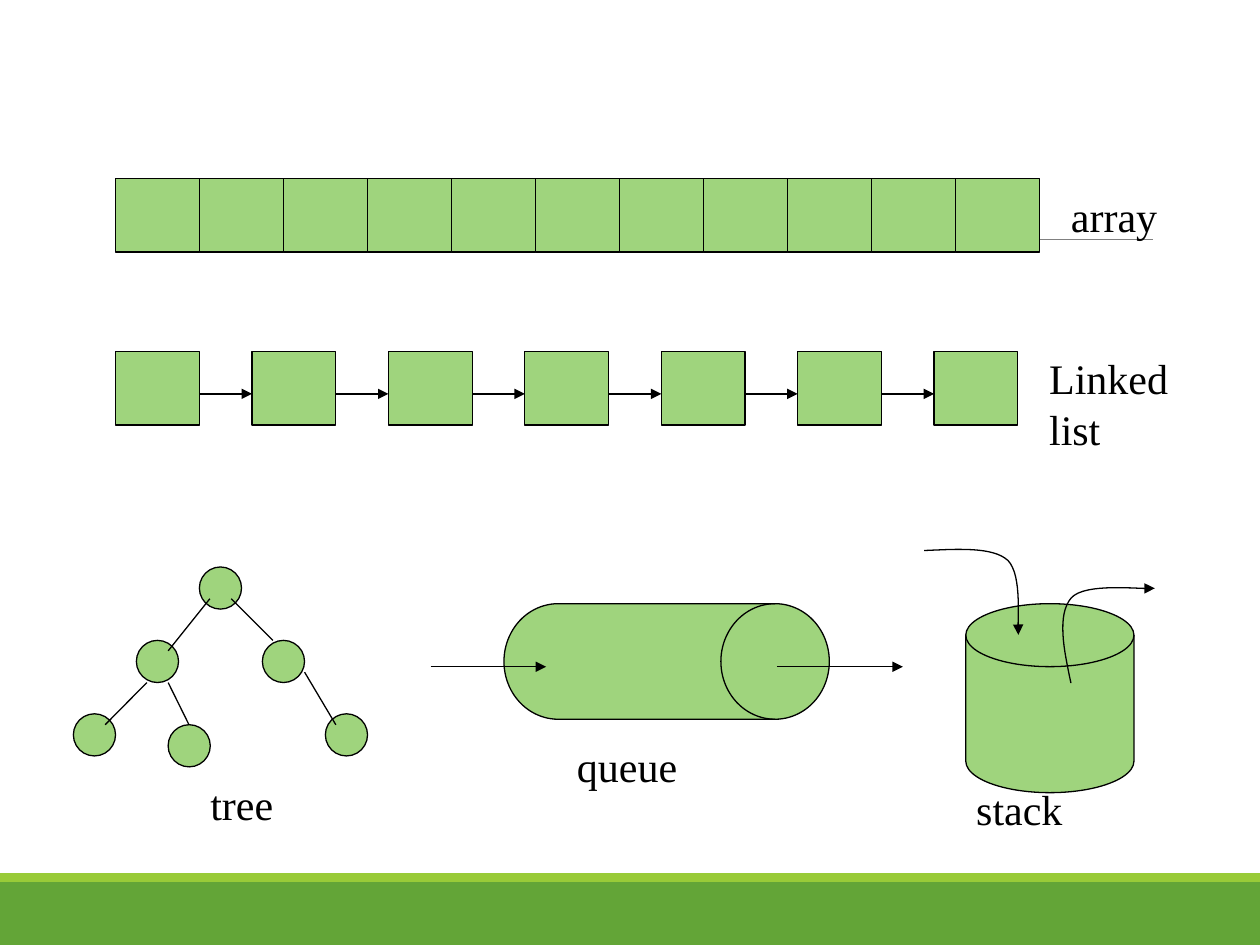
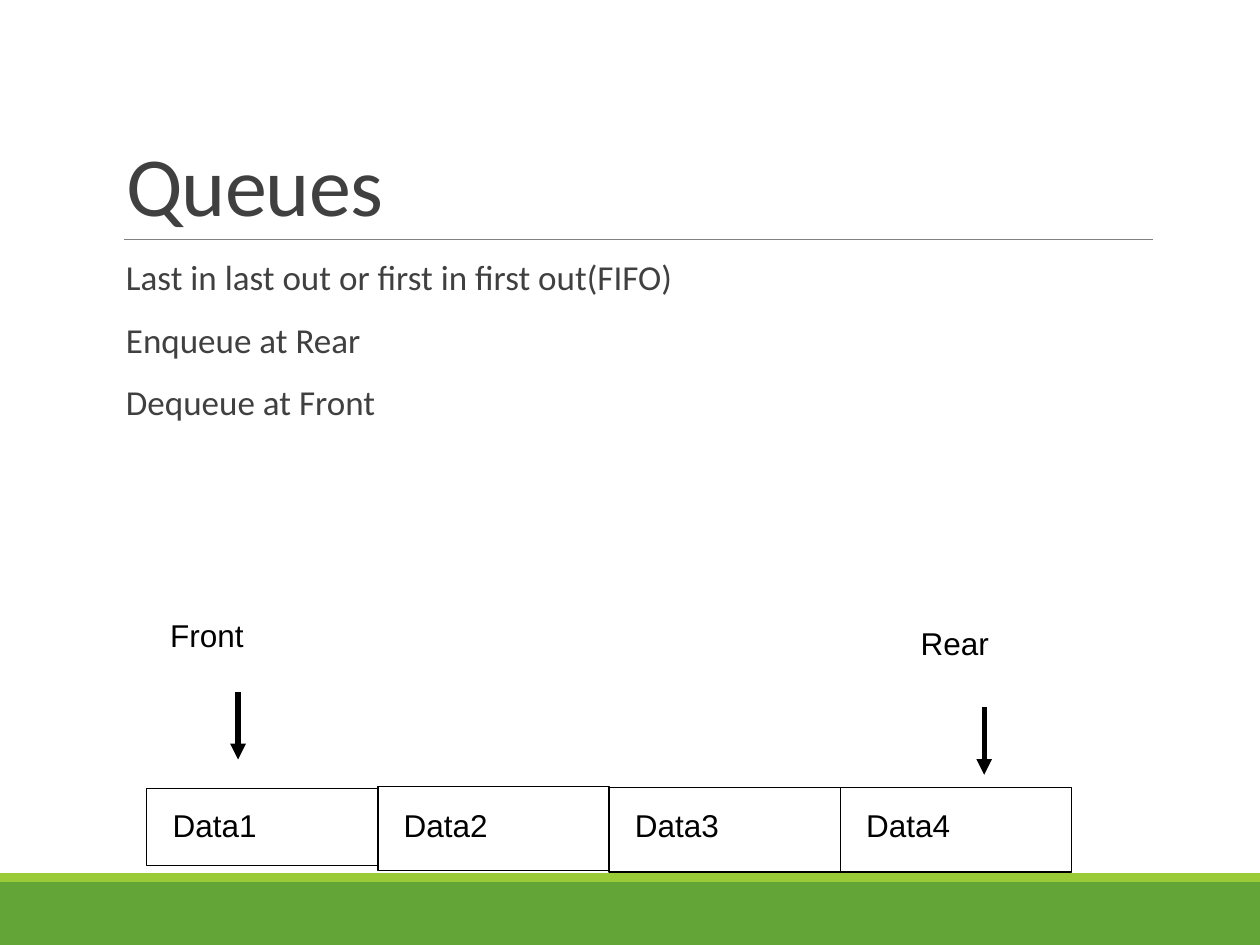
from lxml import etree
from pptx import Presentation
from pptx import util as u
from pptx.dml.color import RGBColor
from pptx.enum import shapes, text
from pptx.oxml import ns

GREEN = RGBColor(0x63, 0xA5, 0x37)
LIME = RGBColor(0x99, 0xCB, 0x38)
LEAF = RGBColor(0x9F, 0xD4, 0x7D)
BLACK = RGBColor(0, 0, 0)
GRAY = RGBColor(0x80, 0x80, 0x80)
DARK = RGBColor(0x40, 0x40, 0x40)

SERIF = {"name": "Times New Roman", "size": u.Pt(24)}
SANS = {"name": "Arial", "size": u.Pt(18)}
HEAD = {"name": "Calibri", "size": u.Pt(48)}
BODY = {"name": "Calibri", "size": u.Pt(20)}
KIND = shapes.MSO_SHAPE


def cms(*vals):
    return [u.Cm(v) for v in vals]


def put(obj, form):
    """Set each format value on the object."""
    for key, val in form.items():
        setattr(obj, key, val)


def style(run, form, color):
    put(run.font, form)
    run.font.color.rgb = color


def block(slide, kind, box, fill=LEAF, line=BLACK):
    """Preset shape; None leaves out the fill or the outline."""
    item = slide.shapes.add_shape(kind, *cms(*box))
    item.shadow.inherit = False
    if fill is None:
        item.fill.background()
    else:
        item.fill.solid()
        item.fill.fore_color.rgb = fill
    if line is None:
        item.line.fill.background()
    else:
        item.line.color.rgb = line
        item.line.width = u.Pt(0.75)
    return item


def tip(item):
    """Arrowhead at the end of a line."""
    etree.SubElement(item.line._get_or_add_ln(), ns.qn("a:tailEnd"), type="triangle")


def link(slide, ends, color=BLACK, width=0.75, head=False):
    """Straight line, with an arrowhead if wanted."""
    item = slide.shapes.add_connector(shapes.MSO_CONNECTOR.STRAIGHT, *cms(*ends))
    item.line.color.rgb = color
    item.line.width = u.Pt(width)
    if head:
        tip(item)
    etree.SubElement(item._element.spPr, ns.qn("a:effectLst"))


def bend(slide, pts, steps=16):
    """Curved arrow through a chain of cubic pieces."""
    path = []
    for i in range(0, len(pts) - 1, 3):
        for n in range(1, steps + 1):
            t = n / steps
            part = ((1 - t) ** 3, 3 * t * (1 - t) ** 2, 3 * t * t * (1 - t), t ** 3)
            path.append([u.Cm(sum(w * p[k] for w, p in zip(part, pts[i:i + 4])))
                         for k in (0, 1)])
    pen = slide.shapes.build_freeform(*cms(*pts[0]))
    pen.add_line_segments(path, close=False)
    item = pen.convert_to_shape()
    item.shadow.inherit = False
    item.fill.background()
    item.line.color.rgb = BLACK
    item.line.width = u.Pt(0.75)
    tip(item)


def label(slide, words, box, form):
    """One line of text that does not wrap."""
    frame = slide.shapes.add_textbox(*cms(*box)).text_frame
    put(frame, {"word_wrap": False, "auto_size": text.MSO_AUTO_SIZE.SHAPE_TO_FIT_TEXT})
    run = frame.paragraphs[0].add_run()
    run.text = words
    style(run, form, BLACK)


def base(deck, layout):
    """New slide with the shared bands and title rule."""
    slide = deck.slides.add_slide(deck.slide_layouts[layout])
    block(slide, KIND.RECTANGLE, (0, 17.78, 25.4, 1.27), GREEN, None)
    block(slide, KIND.RECTANGLE, (0, 17.6, 25.4, 0.18), LIME, None)
    link(slide, (2.49, 4.83, 23.24, 4.83), GRAY, 0.5)
    return slide


def title(slide, words):
    item = slide.shapes.title
    put(item, dict(zip(("left", "top", "width", "height"), cms(2.29, 0.79, 20.95, 4.04))))
    frame = item.text_frame
    put(frame, {"vertical_anchor": text.MSO_ANCHOR.BOTTOM, "word_wrap": True,
                "auto_size": text.MSO_AUTO_SIZE.NONE})
    para = frame.paragraphs[0]
    put(para, {"alignment": text.PP_ALIGN.LEFT, "line_spacing": 0.85})
    run = para.add_run()
    run.text = words
    style(run, HEAD, DARK)
    run.font._element.set("spc", "-50")


def body(slide, lines):
    frame = slide.shapes.add_textbox(*cms(2.29, 5.13, 20.95, 11.18)).text_frame
    put(frame, {"word_wrap": True, "margin_left": u.Cm(0.25), "margin_right": 0})
    for i, words in enumerate(lines):
        para = frame.add_paragraph() if i else frame.paragraphs[0]
        put(para, {"line_spacing": 0.9, "space_before": u.Pt(12), "space_after": u.Pt(2)})
        run = para.add_run()
        run.text = words
        style(run, BODY, DARK)


def tree(slide):
    size = 0.85
    for x, y in ((4.02, 11.43), (2.75, 12.91), (1.48, 14.39),
                 (5.29, 12.91), (6.56, 14.39), (3.39, 14.61)):
        block(slide, KIND.OVAL, (x, y, size, size))
    for ends in ((4.23, 12.07, 3.39, 13.12), (2.96, 13.76, 2.12, 14.61),
                 (4.66, 12.07, 5.5, 12.91), (6.14, 13.55, 6.77, 14.61),
                 (3.39, 13.76, 3.81, 14.61)):
        link(slide, ends)


def types(deck):
    """Overview of the data structures."""
    slide = base(deck, 6)
    left, wide, high = 2.33, 1.69, 1.48
    # Array
    for i in range(11):
        block(slide, KIND.RECTANGLE, (left + i * 1.693, 3.6, wide, high))
    # Linked list
    count, pitch = 7, 2.75
    for i in range(count):
        x = left + i * pitch
        block(slide, KIND.RECTANGLE, (x, 7.09, wide, high))
        if i < count - 1:
            link(slide, (x + wide, 7.94, x + pitch, 7.94), head=True)
    tree(slide)
    # Queue
    block(slide, KIND.FLOWCHART_DIRECT_ACCESS_STORAGE, (10.16, 12.17, 6.56, 2.33))
    for x, end in ((8.68, 11.01), (15.66, 18.2)):
        link(slide, (x, 13.44, end, 13.44), head=True)
    # Stack
    block(slide, KIND.FLOWCHART_MAGNETIC_DISK, (19.47, 12.17, 3.39, 3.81))
    bend(slide, [(18.63, 11.1), (19.3, 11.07), (20.02, 11.02), (20.32, 11.3),
                 (20.62, 11.61), (20.5, 12.55), (20.53, 12.8)])
    bend(slide, [(21.59, 13.77), (21.44, 13.08), (21.31, 12.4), (21.59, 12.06),
                 (21.87, 11.73), (23.01, 11.89), (23.28, 11.86)])
    # Names
    for words, x, y, w in (("array", 21.34, 3.71, 2.26), ("Linked list", 20.9, 6.99, 4.14),
                           ("tree", 3.99, 15.57, 1.78), ("queue", 11.38, 14.81, 2.54),
                           ("stack", 19.43, 15.67, 2.26)):
        label(slide, words, (x, y, w, 1.27), SERIF)


def queues(deck):
    """Queue rules and a row of data cells."""
    slide = base(deck, 5)
    title(slide, "Queues")
    body(slide, ("Last in last out or first in first out(FIFO)",
                 "Enqueue at Rear", "Dequeue at Front"))
    # Cells
    wide = 4.66
    for i, (y, high) in enumerate(((15.9, 1.55), (15.85, 1.7), (15.88, 1.7), (15.88, 1.7))):
        block(slide, KIND.RECTANGLE, (2.96 + i * wide, y, wide, high), None)
        label(slide, f"Data{i + 1}", (3.23 + i * wide, 16.13, 3.15, 1.45), SANS)
    # Both ends
    label(slide, "Front", (3.18, 12.29, 2.82, 1.45), SANS)
    label(slide, "Rear", (18.31, 12.45, 1.9, 1.02), SANS)
    for x, y in ((4.8, 13.94), (19.84, 14.25)):
        link(slide, (x, y, x, y + 1.37), width=3, head=True)


def main():
    deck = Presentation()
    put(deck, {"slide_width": u.Cm(25.4), "slide_height": u.Cm(19.05)})
    types(deck)
    queues(deck)
    deck.save("out.pptx")


if __name__ == "__main__":
    main()
